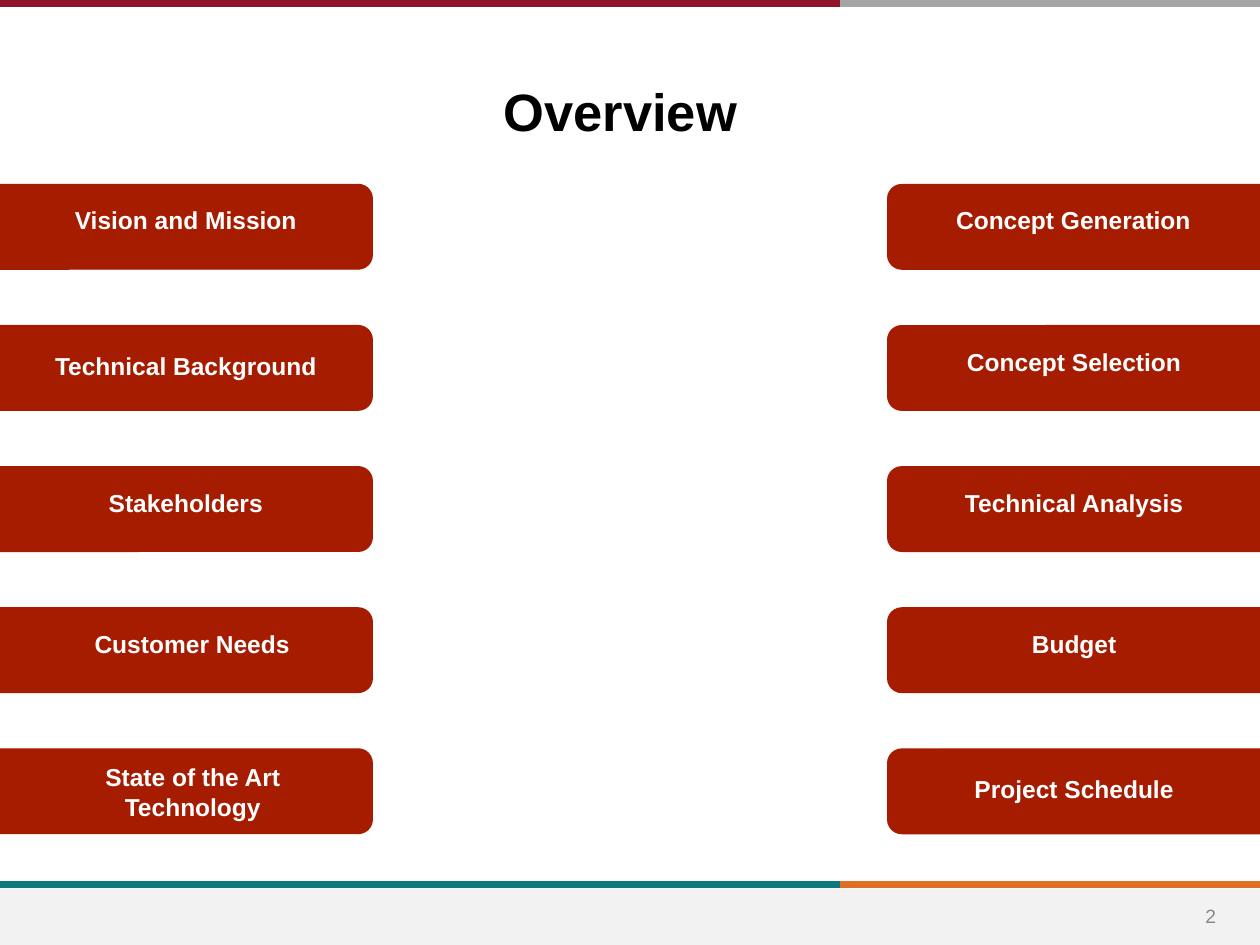
from pptx import Presentation
from pptx.util import Pt
from pptx.dml.color import RGBColor as RGB
from pptx.enum.shapes import MSO_SHAPE as Shape, MSO_CONNECTOR as Conn
from pptx.enum.text import PP_ALIGN as Align, MSO_ANCHOR as Anchor
from lxml.etree import SubElement

WHITE = RGB(0xFF, 0xFF, 0xFF)
BLACK = RGB(0, 0, 0)
GRAY = RGB(0x88, 0x88, 0x88)
PALE = RGB(0xF2, 0xF2, 0xF2)
BRICK = RGB(0xA6, 0x1C, 0x00)
TEAL = RGB(0x0F, 0x78, 0x7D)
ORANGE = RGB(0xDF, 0x70, 0x23)
SILVER = RGB(0xA5, 0xA5, 0xA5)
WINE = RGB(0x90, 0x15, 0x2A)

WIDE, HIGH = 720, 540
SPLIT = 480
RULES = [
    (SPLIT, WIDE, 505.5, ORANGE),
    (0, SPLIT, 505.5, TEAL),
    (SPLIT, WIDE, 2, SILVER),
    (0, SPLIT, 2, WINE),
]

# label, center x, width, vertical nudge
LEFT = [
    ("Vision and Mission", 106.2, 147.6, 0),
    ("Technical Background", 106.2, 173.5, 2.5),
    ("Stakeholders", 106.2, 147.6, 0),
    ("Customer Needs", 109.8, 147.6, 0),
    ("State of the Art Technology", 110.2, 157, -4.4),
]
RIGHT = [
    ("Concept Generation", 613.4, 157, 0),
    ("Concept Selection", 613.8, 147.6, 0),
    ("Technical Analysis", 613.8, 147.6, 0),
    ("Budget", 613.8, 147.6, 0),
    ("Project Schedule", 613.8, 147.6, 2.1),
]
SIDES = [(LEFT, 106.2, 90), (RIGHT, 613.8, 270)]
FIRST, STEP = 129.6, 80.64
TAB_W, TAB_H = 48.4, 213.1
LABEL_TOP, LABEL_H = 110.2, 38.9

deck = Presentation()
deck.slide_width, deck.slide_height = Pt(WIDE), Pt(HIGH)
slide = deck.slides.add_slide(deck.slide_layouts[6])
shapes = slide.shapes


def add_rule(x1, x2, y, color):
    rule = shapes.add_connector(Conn.STRAIGHT, Pt(x1), Pt(y), Pt(x2), Pt(y))
    rule.line.color.rgb = color
    rule.line.width = Pt(4)
    props = rule.element.spPr
    SubElement(props, props.tag.split("}")[0] + "}effectLst")
    effect = props[-1]
    props.remove(effect)
    SubElement(props, "{http://schemas.openxmlformats.org/drawingml/2006/main}effectLst")


def add_block(kind, x, y, w, h, color):
    block = shapes.add_shape(kind, Pt(x), Pt(y), Pt(w), Pt(h))
    block.shadow.inherit = False
    block.fill.solid()
    block.fill.fore_color.rgb = color
    block.line.fill.background()
    return block


def add_text(text, x, y, w, h, size, color, bold=True, pad=7.2, anchor=Anchor.TOP):
    frame = shapes.add_textbox(Pt(x), Pt(y), Pt(w), Pt(h)).text_frame
    frame.word_wrap = True
    frame.vertical_anchor = anchor
    frame.margin_left = frame.margin_right = Pt(7.2)
    frame.margin_top = frame.margin_bottom = Pt(pad)
    frame.text = text
    para = frame.paragraphs[0]
    para.alignment = Align.CENTER
    font = para.runs[0].font
    font.name, font.size, font.bold = "Arial", Pt(size), bold
    font.color.rgb = color


for rule in RULES:
    add_rule(*rule)
add_block(Shape.RECTANGLE, 0, 507.6, WIDE, 32.4, PALE)
add_text("2", 673.2, 509, 37.4, 28.8, 11, GRAY, False, 3.6, Anchor.MIDDLE)

for labels, mid, turn in SIDES:
    for row in range(len(labels)):
        y = FIRST + row * STEP
        tab = add_block(Shape.ROUND_2_SAME_RECTANGLE,
                        mid - TAB_W / 2, y - TAB_H / 2, TAB_W, TAB_H, BRICK)
        tab.rotation = turn
        tab.adjustments[0] = 0.167
        tab.adjustments[1] = 0
        tab.line.color.rgb = BRICK
        tab.line.width = Pt(0.75)

add_text("Overview", 239, 38.2, 231.1, 72.7, 30, BLACK)
for labels, _, _ in SIDES:
    for row, (text, mid, w, nudge) in enumerate(labels):
        y = LABEL_TOP + row * STEP + nudge
        add_text(text, mid - w / 2, y, w, LABEL_H, 14, WHITE)

deck.save("out.pptx")
